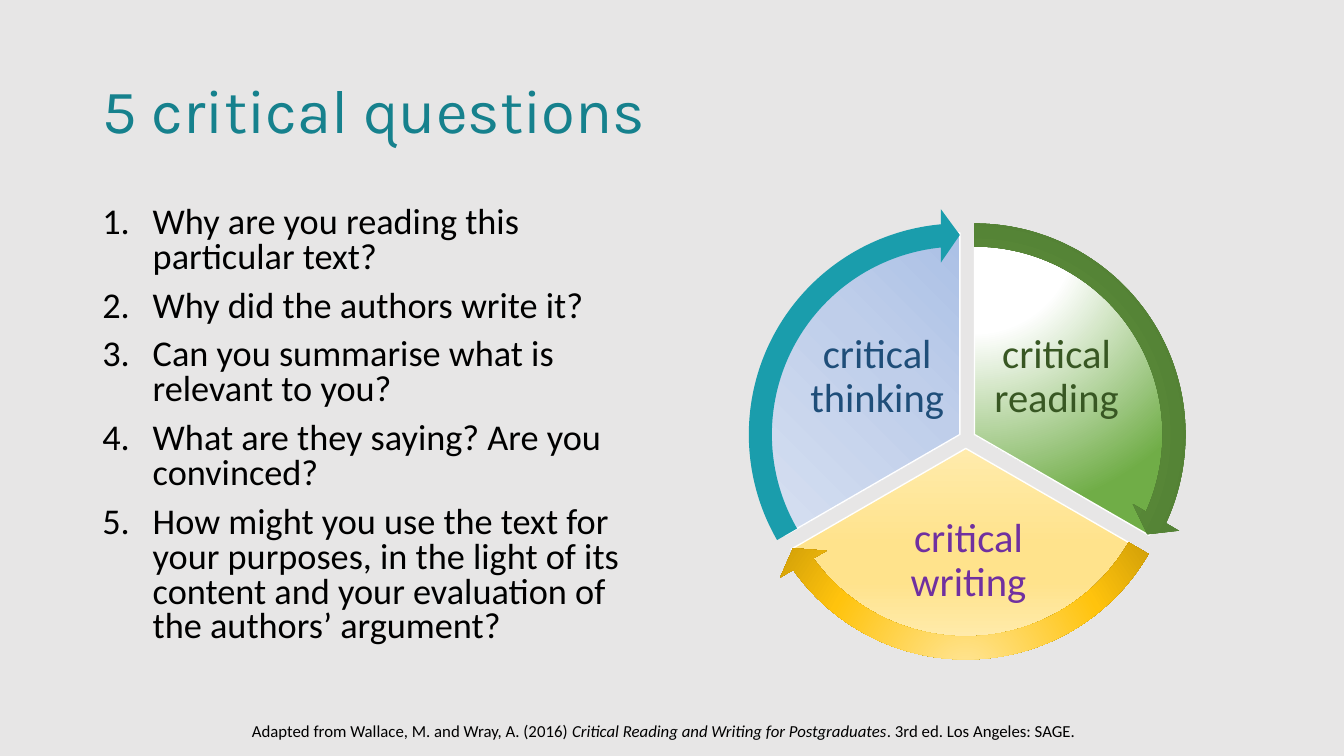
"""Build the slide on five critical questions with its three-part cycle."""
from lxml.etree import SubElement
from pptx import Presentation
from pptx.dml.color import RGBColor
from pptx.enum.shapes import MSO_SHAPE
from pptx.enum.text import MSO_ANCHOR, PP_ALIGN
from pptx.oxml.ns import qn
from pptx.util import Cm, Pt

BACKGROUND = RGBColor(0xE7, 0xE6, 0xE6)
HEADING = RGBColor(0x16, 0x81, 0x8D)
BLACK = RGBColor(0x00, 0x00, 0x00)
WHITE = RGBColor(0xFF, 0xFF, 0xFF)
TEAL = RGBColor(0x1A, 0x9D, 0xAC)
DARK_GREEN = RGBColor(0x38, 0x57, 0x23)
PURPLE = RGBColor(0x70, 0x30, 0xA0)
DARK_BLUE = RGBColor(0x1F, 0x4E, 0x79)

TITLE = "5 critical questions"
QUESTIONS = [
    "Why are you reading this particular text?",
    "Why did the authors write it?",
    "Can you summarise what is relevant to you?",
    "What are they saying? Are you convinced?",
    "How might you use the text for your purposes, in the light of its "
    "content and your evaluation of the authors’ argument?",
]
CITATION = [
    ("Adapted from Wallace, M. and Wray, A. (2016) ", False),
    ("Critical Reading and Writing for Postgraduates", True),
    (". 3rd ed. Los Angeles: SAGE.", False),
]
SECTORS = [
    {
        "label": "critical reading", "color": DARK_GREEN, "center": (24.56, 10.95),
        "label_center": (26.63, 9.51), "label_size": (3.63, 3.02),
        "pie_angles": (162, 18), "arrow_angles": (14.725, 161.994),
        "pie_fill": {"stops": [(0, "FFFFFF"), (35, "FFFFFF"), (100, "70AD47")],
                     "focus": (50, -80, 50, 180)},
        "arrow_fill": {"stops": [(0, "649A3F"), (23, "649A3F"), (69, "548235"),
                                 (97, "4E7932")],
                       "focus": (50, 50, 50, 50)},
    },
    {
        "label": "critical writing", "color": PURPLE, "center": (24.34, 11.3),
        "label_center": (24.41, 14.14), "label_size": (5.44, 2.67),
        "pie_angles": (18, 90), "arrow_angles": (86.72, 18.005),
        "pie_fill": {"stops": [(0, "FFFCF2"), (74, "FFE38C"), (83, "FFE38C"),
                               (100, "FFECB2")],
                     "angle": 90},
        "arrow_fill": {"stops": [(0, "FFE699"), (46, "FFC30D"), (100, "997300")],
                       "focus": (50, 130, 50, -30)},
    },
    {
        "label": "critical thinking", "color": DARK_BLUE, "center": (24.19, 10.95),
        "label_center": (22.11, 9.51), "label_size": (3.63, 3.02),
        "pie_angles": (90, 162), "arrow_angles": (158.73, 90),
        "pie_fill": {"stops": [(0, "94B1E1"), (50, "BFCEEA"), (100, "E0E7F4")],
                     "angle": 135},
        "arrow_fill": TEAL,
    },
]
PIE_SIZE = 10.16
ARROW_SIZE = 11.4
ARROW_WIDTH, ARROW_TIP_ANGLE, ARROW_HEAD = 0.051, 3.275, 0.059


def add_run(paragraph, text, size, color, font="Calibri", italic=False):
    run = paragraph.add_run()
    run.text = text
    run.font.name = font
    run.font.size = Pt(size)
    run.font.italic = italic
    run.font.color.rgb = color


def add_frame(slide, left, top, width, height):
    box = slide.shapes.add_textbox(Cm(left), Cm(top), Cm(width), Cm(height))
    box.text_frame.word_wrap = True
    return box.text_frame


def fill_shape(shape, fill):
    if isinstance(fill, RGBColor):
        shape.fill.solid()
        shape.fill.fore_color.rgb = fill
        return
    shape.fill.background()
    no_fill = shape._element.spPr.find(qn("a:noFill"))
    gradient = SubElement(shape._element.spPr, qn("a:gradFill"), rotWithShape="1")
    stops = SubElement(gradient, qn("a:gsLst"))
    for position, color in fill["stops"]:
        stop = SubElement(stops, qn("a:gs"), pos=str(position * 1000))
        SubElement(stop, qn("a:srgbClr"), val=color)
    if "angle" in fill:
        SubElement(gradient, qn("a:lin"), ang=str(fill["angle"] * 60000), scaled="0")
    else:
        circle = SubElement(gradient, qn("a:path"), {"path": "circle"})
        focus = {side: str(share * 1000) for side, share in zip("ltrb", fill["focus"])}
        SubElement(circle, qn("a:fillToRect"), focus)
    shape._element.spPr.replace(no_fill, gradient)


def add_round(slide, kind, center, size, adjustments, fill):
    left, top = (Cm(middle - size / 2) for middle in center)
    shape = slide.shapes.add_shape(kind, left, top, Cm(size), Cm(size))
    for index, value in enumerate(adjustments):
        shape.adjustments[index] = value
    shape.shadow.inherit = False
    fill_shape(shape, fill)
    return shape


def add_sector(slide, sector):
    pie = add_round(slide, MSO_SHAPE.PIE, sector["center"], PIE_SIZE,
                    sector["pie_angles"], sector["pie_fill"])
    pie.line.color.rgb = WHITE
    pie.line.width = Pt(1)
    (x, y), (width, height) = sector["label_center"], sector["label_size"]
    label = add_frame(slide, x - width / 2, y - height / 2, width, height)
    label.margin_left = label.margin_right = Cm(0.1)
    label.margin_top = label.margin_bottom = Cm(0.1)
    label.vertical_anchor = MSO_ANCHOR.MIDDLE
    paragraph = label.paragraphs[0]
    paragraph.alignment = PP_ALIGN.CENTER
    paragraph.line_spacing = 0.9
    add_run(paragraph, sector["label"], 29, sector["color"])


def add_arrow(slide, sector):
    adjustments = (ARROW_WIDTH, ARROW_TIP_ANGLE, *sector["arrow_angles"], ARROW_HEAD)
    arrow = add_round(slide, MSO_SHAPE.CIRCULAR_ARROW, sector["center"], ARROW_SIZE,
                      adjustments, sector["arrow_fill"])
    arrow.line.fill.background()


def add_questions(slide):
    frame = add_frame(slide, 2.33, 5.08, 14.4, 12.09)
    for index, question in enumerate(QUESTIONS):
        paragraph = frame.add_paragraph() if index else frame.paragraphs[0]
        properties = paragraph._p.get_or_add_pPr()
        properties.set("marL", str(Cm(1.27)))
        properties.set("indent", str(-Cm(1.27)))
        SubElement(properties, qn("a:buFont"), typeface="+mj-lt")
        SubElement(properties, qn("a:buAutoNum"), type="arabicPeriod")
        paragraph.line_spacing = 0.8
        paragraph.space_before = Pt(10 if index else 0)
        add_run(paragraph, question, 25.9, BLACK)


def main():
    deck = Presentation()
    deck.slide_width, deck.slide_height = Cm(33.87), Cm(19.05)
    slide = deck.slides.add_slide(deck.slide_layouts[6])
    slide.background.fill.solid()
    slide.background.fill.fore_color.rgb = BACKGROUND

    title = add_frame(slide, 2.33, 1.01, 29.21, 3.68)
    title.vertical_anchor = MSO_ANCHOR.MIDDLE
    title.paragraphs[0].line_spacing = 0.9
    add_run(title.paragraphs[0], TITLE, 44, HEADING, font="Karla")

    add_questions(slide)
    for sector in SECTORS:
        add_sector(slide, sector)
    for sector in SECTORS:
        add_arrow(slide, sector)

    citation = add_frame(slide, 6.1, 18.03, 21.67, 0.76)
    for text, italic in CITATION:
        add_run(citation.paragraphs[0], text, 12, BLACK, italic=italic)

    deck.save("out.pptx")


if __name__ == "__main__":
    main()
